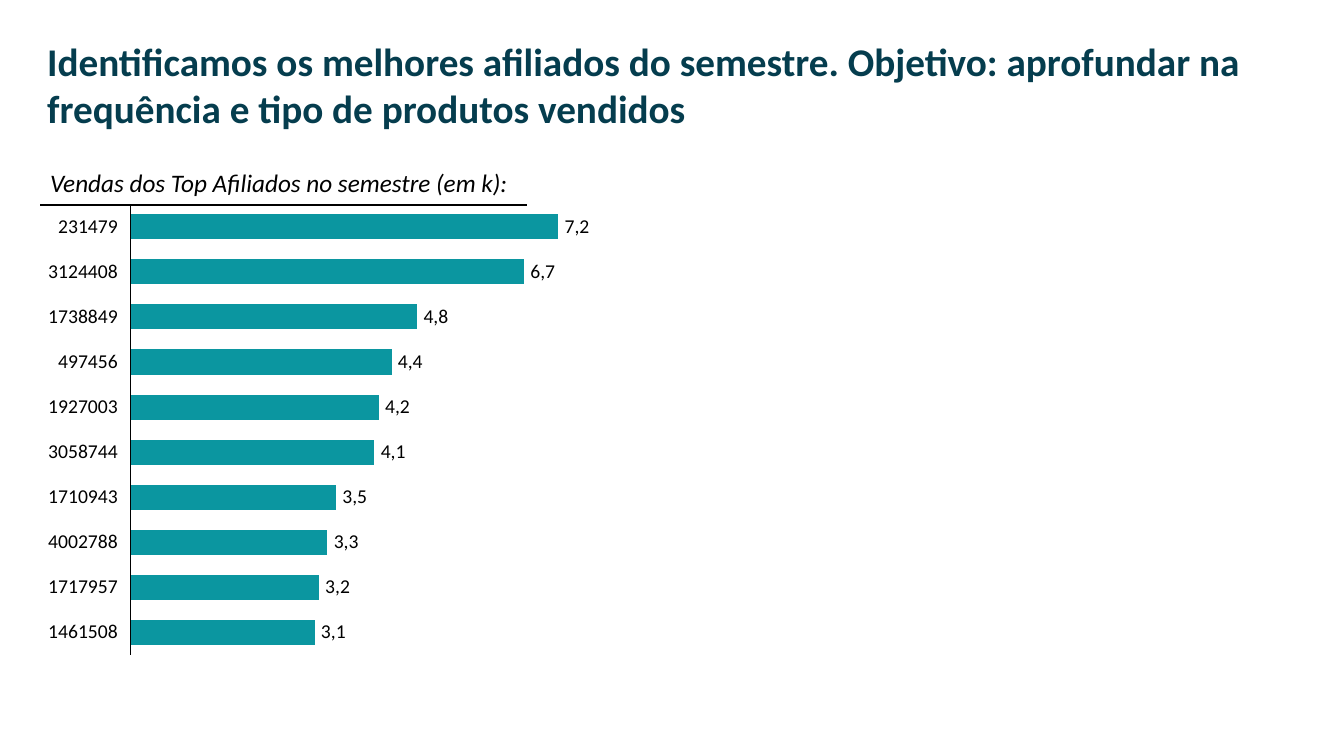
from dataclasses import dataclass

from lxml import etree
from pptx import Presentation
from pptx.chart.data import CategoryChartData
from pptx.dml.color import RGBColor
from pptx.enum.chart import XL_CHART_TYPE, XL_TICK_LABEL_POSITION, XL_TICK_MARK
from pptx.enum.shapes import MSO_CONNECTOR
from pptx.enum.text import MSO_ANCHOR, MSO_AUTO_SIZE, PP_ALIGN
from pptx.oxml.ns import qn
from pptx.shapes.shapetree import GroupShapes, SlideShapes
from pptx.util import Inches, Pt

BAR_STACKED = XL_CHART_TYPE.BAR_STACKED
NO_LABELS = XL_TICK_LABEL_POSITION.NONE
NO_TICKS = XL_TICK_MARK.NONE
STRAIGHT = MSO_CONNECTOR.STRAIGHT
MIDDLE = MSO_ANCHOR.MIDDLE
GROW = MSO_AUTO_SIZE.SHAPE_TO_FIT_TEXT
LEFT, RIGHT = PP_ALIGN.LEFT, PP_ALIGN.RIGHT


@dataclass(frozen=True)
class Theme:
    font: str = "Calibri"
    heading: RGBColor = RGBColor(0x05, 0x3D, 0x4E)
    ink: RGBColor = RGBColor(0, 0, 0)
    bar: RGBColor = RGBColor(0x0B, 0x96, 0xA0)
    heading_size: int = 28
    caption_size: int = 18
    label_size: int = 14
    chart_size: int = 10


@dataclass(frozen=True)
class Box:
    left: float
    top: float
    width: float
    height: float

    def inches(self) -> tuple:
        return tuple(Inches(n) for n in (self.left, self.top, self.width, self.height))


@dataclass(frozen=True)
class Affiliate:
    code: str
    sales: str
    share: int  # percentage of the best seller's bar


THEME = Theme()
AFFILIATES = [
    Affiliate("231479", "7,2", 100),
    Affiliate("3124408", "6,7", 92),
    Affiliate("1738849", "4,8", 67),
    Affiliate("497456", "4,4", 61),
    Affiliate("1927003", "4,2", 58),
    Affiliate("3058744", "4,1", 57),
    Affiliate("1710943", "3,5", 48),
    Affiliate("4002788", "3,3", 46),
    Affiliate("1717957", "3,2", 44),
    Affiliate("1461508", "3,1", 43),
]
HEADING = (
    "Identificamos os melhores afiliados do semestre. Objetivo: aprofundar na "
    "frequência e tipo de produtos vendidos"
)
CAPTION = "Vendas dos Top Afiliados no semestre (em k):"
CHART_BOX = Box(1.21, 1.94, 4.42, 4.65)
PLOT_LAYOUT = {
    "layoutTarget": "inner", "xMode": "edge", "yMode": "edge",
    "x": "0.02", "y": "0.019", "w": "0.959", "h": "0.961",
}
FIRST_ROW, LAST_ROW = 2.15, 6.17
LABEL_HEIGHT = 0.21
CODE_RIGHT = 1.17
DIGIT_WIDTH = 0.1
SALES_START, SALES_SPAN = 1.33, 4.24
SALES_WIDTH, SALES_INSET = 0.32, 0.03


def apply_format(target: object, values: dict) -> None:
    for attribute, value in values.items():
        setattr(target, attribute, value)


def add_text(shapes: SlideShapes | GroupShapes, text: str, box: Box, size: int,
             color: RGBColor, frame_format: dict, paragraph_format: dict | None = None,
             font_format: dict | None = None) -> None:
    frame = shapes.add_textbox(*box.inches()).text_frame
    apply_format(frame, frame_format)
    paragraph = frame.paragraphs[0]
    apply_format(paragraph, paragraph_format or {})
    run = paragraph.add_run()
    run.text = text
    run.font.color.rgb = color
    apply_format(run.font, {"name": THEME.font, "size": Pt(size)} | (font_format or {}))


def add_caption(shapes: SlideShapes) -> None:
    caption = shapes.add_group_shape().shapes
    add_text(caption, CAPTION, Box(0.4, 1.61, 4.93, 0.4), THEME.caption_size, THEME.ink,
             {"word_wrap": True, "auto_size": GROW}, font_format={"italic": True})
    rule = caption.add_connector(STRAIGHT, Inches(0.4), Inches(2.03), Inches(5.23), Inches(2.03))
    rule.line.color.rgb = THEME.ink
    rule.line.width = Pt(1.5)
    etree.SubElement(rule._element.spPr, qn("a:effectLst"))


def set_plot_layout(plot_area: etree._Element) -> None:
    """Fix the inner plot area as fractions of the chart frame."""
    for old_layout in plot_area.findall(qn("c:layout")):
        plot_area.remove(old_layout)
    layout = etree.Element(qn("c:layout"))
    manual = etree.SubElement(layout, qn("c:manualLayout"))
    for tag, value in PLOT_LAYOUT.items():
        etree.SubElement(manual, qn(f"c:{tag}")).set("val", value)
    plot_area.insert(0, layout)


def add_sales_chart(shapes: SlideShapes) -> None:
    chart_data = CategoryChartData()
    chart_data.categories = [str(rank) for rank in range(1, len(AFFILIATES) + 1)]
    chart_data.add_series("Series 1", [affiliate.share for affiliate in AFFILIATES])
    chart = shapes.add_chart(BAR_STACKED, *CHART_BOX.inches(), chart_data).chart
    apply_format(chart, {"has_legend": False, "has_title": False})
    apply_format(chart.font, {"name": THEME.font, "size": Pt(THEME.chart_size)})
    chart.font.color.rgb = THEME.ink

    plot = chart.plots[0]
    apply_format(plot, {"gap_width": 80, "overlap": 100, "vary_by_categories": False})
    fill = plot.series[0].format.fill
    fill.solid()
    fill.fore_color.rgb = THEME.bar

    ranks = chart.category_axis
    apply_format(ranks, {
        "reverse_order": True, "tick_label_position": NO_LABELS,
        "major_tick_mark": NO_TICKS, "minor_tick_mark": NO_TICKS,
        "has_major_gridlines": False,
    })
    ranks.format.line.color.rgb = THEME.ink
    ranks.format.line.width = Pt(0.75)
    apply_format(chart.value_axis, {
        "minimum_scale": 0, "maximum_scale": 100,
        "has_major_gridlines": False, "visible": False,
    })
    set_plot_layout(chart._chartSpace.chart.plotArea)


def add_bar_label(shapes: SlideShapes, text: str, box: Box, alignment: PP_ALIGN,
                  side_inset: float = 0) -> None:
    frame_format = {
        "word_wrap": False, "vertical_anchor": MIDDLE,
        "margin_left": Inches(side_inset), "margin_right": Inches(side_inset),
        "margin_top": 0, "margin_bottom": 0,
    }
    add_text(shapes, text, box, THEME.label_size, THEME.ink, frame_format,
             {"alignment": alignment, "line_spacing": 0.9})


def add_bar_labels(shapes: SlideShapes) -> None:
    row_pitch = (LAST_ROW - FIRST_ROW) / (len(AFFILIATES) - 1)
    for row, affiliate in enumerate(AFFILIATES):
        top = FIRST_ROW + row * row_pitch
        code_width = DIGIT_WIDTH * len(affiliate.code)
        code_box = Box(CODE_RIGHT - code_width, top, code_width, LABEL_HEIGHT)
        add_bar_label(shapes, affiliate.code, code_box, RIGHT)
        sales_left = SALES_START + SALES_SPAN * affiliate.share / 100
        sales_box = Box(sales_left, top, SALES_WIDTH, LABEL_HEIGHT)
        add_bar_label(shapes, affiliate.sales, sales_box, LEFT, SALES_INSET)


def main() -> None:
    presentation = Presentation()
    presentation.slide_width = Inches(13.33)
    presentation.slide_height = Inches(7.5)
    shapes = presentation.slides.add_slide(presentation.slide_layouts[6]).shapes
    add_caption(shapes)
    add_text(shapes, HEADING, Box(0.37, 0.32, 12.6, 1.04), THEME.heading_size, THEME.heading,
             {"word_wrap": True, "auto_size": GROW}, font_format={"bold": True})
    add_sales_chart(shapes)
    add_bar_labels(shapes)
    presentation.save("out.pptx")


if __name__ == "__main__":
    main()
